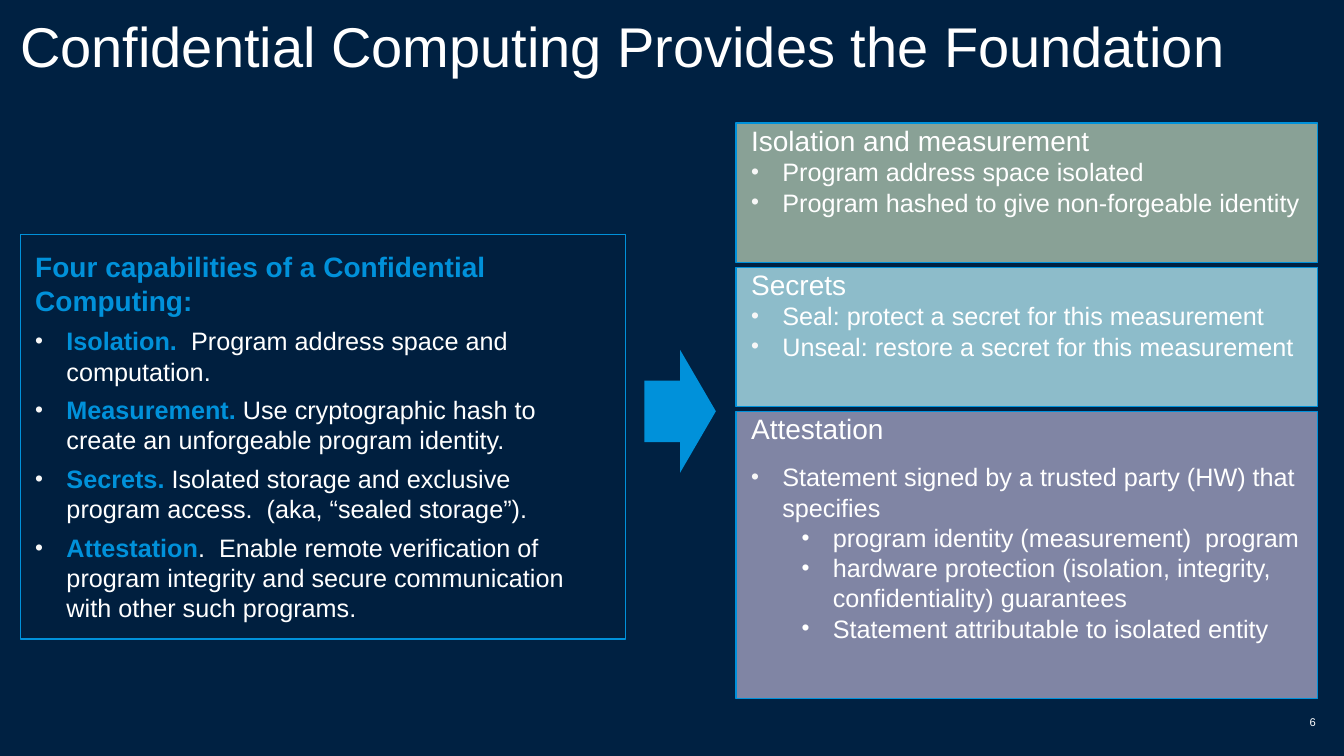
from lxml import etree
from pptx import Presentation
from pptx.dml.color import RGBColor
from pptx.enum.shapes import MSO_SHAPE
from pptx.enum.text import MSO_ANCHOR, MSO_AUTO_SIZE, PP_ALIGN
from pptx.oxml.ns import qn
from pptx.util import Inches, Pt

NAVY = RGBColor(0x00, 0x21, 0x42)
DEEP_NAVY = RGBColor(0x00, 0x1F, 0x3F)
BLUE = RGBColor(0x00, 0x91, 0xDA)
WHITE = RGBColor(0xFF, 0xFF, 0xFF)
GREEN = RGBColor(0xE5, 0xF7, 0xCE)
AQUA = RGBColor(0xC4, 0xF9, 0xFF)
LILAC = RGBColor(0xE6, 0xD4, 0xF2)


def add_text(tf, *parts, size=18, color=WHITE, bold=False, bullet=None,
             level=0, before=0, spacing=None, align=PP_ALIGN.LEFT):
    """Add a paragraph; with two parts, the first is a bold blue lead-in."""
    p = tf.add_paragraph() if tf.paragraphs[0].runs else tf.paragraphs[0]
    p.alignment, p.level, p.line_spacing = align, level, spacing
    p.space_before = Pt(before)
    if bullet:
        pPr = p._p.get_or_add_pPr()
        pPr.set("marL", str(Inches(0.31 + 0.5 * level)))
        pPr.set("indent", str(Inches(-0.31)))
        clr = etree.SubElement(pPr, qn("a:buClr"))
        etree.SubElement(clr, qn("a:srgbClr"), val=bullet)
        etree.SubElement(pPr, qn("a:buSzPct"), val="90000")
        etree.SubElement(pPr, qn("a:buFont"), typeface="Arial")
        etree.SubElement(pPr, qn("a:buChar"), char="•")
    for i, part in enumerate(parts):
        lead = len(parts) == 2 and i == 0
        r = p.add_run()
        r.text = part
        r.font.name, r.font.size = "Arial", Pt(size)
        r.font.bold = bold or lead
        r.font.color.rgb = BLUE if lead else color


def add_box(x, y, w, h, fill, alpha=100, margins=(0.15, 0, 0, 0),
            kind=MSO_SHAPE.RECTANGLE, outlined=True):
    """Add a filled shape and return its text frame."""
    sp = s.shapes.add_shape(kind, Inches(x), Inches(y), Inches(w), Inches(h))
    sp.shadow.inherit = False
    sp.fill.solid()
    sp.fill.fore_color.rgb = fill
    if alpha < 100:
        clr = sp.fill._xPr.find(".//" + qn("a:srgbClr"))
        etree.SubElement(clr, qn("a:alpha"), val=str(alpha * 1000))
    if outlined:
        sp.line.color.rgb = BLUE
        sp.line.width = Pt(0.75)
    else:
        sp.line.fill.background()
    tf = sp.text_frame
    tf.word_wrap = True
    tf.vertical_anchor = MSO_ANCHOR.TOP
    (tf.margin_left, tf.margin_top,
     tf.margin_right, tf.margin_bottom) = map(Inches, margins)
    return tf


prs = Presentation()
prs.slide_width, prs.slide_height = Inches(13.33), Inches(7.5)
s = prs.slides.add_slide(prs.slide_layouts[5])
s.background.fill.solid()
s.background.fill.fore_color.rgb = NAVY

# Title and page number
title = s.shapes.title
title.left, title.top = Inches(0.2), Inches(0.01)
title.width, title.height = Inches(13.13), Inches(0.78)
number = s.shapes.add_textbox(Inches(12.57), Inches(7.07), Inches(0.48), Inches(0.2))
for sp, anchor in ((title, MSO_ANCHOR.BOTTOM), (number, MSO_ANCHOR.MIDDLE)):
    tf = sp.text_frame
    tf.margin_left = tf.margin_top = tf.margin_right = tf.margin_bottom = 0
    tf.vertical_anchor = anchor
    tf.auto_size = MSO_AUTO_SIZE.NONE
    tf.word_wrap = True
add_text(title.text_frame, "Confidential Computing Provides the Foundation",
         size=40, spacing=0.9)
add_text(number.text_frame, "6", size=8, spacing=0.9, align=PP_ALIGN.RIGHT)

# Three panels on the right: heading, height, fill, opacity, gap, (level, bullet)
panels = [
    ("Isolation and measurement", 1.38, GREEN, 60, 0, [
        (0, "Program address space isolated"),
        (0, "Program hashed to give non-forgeable identity")]),
    ("Secrets", 1.38, AQUA, 72, 0, [
        (0, "Seal: protect a secret for this measurement"),
        (0, "Unseal: restore a secret for this measurement")]),
    ("Attestation", 2.85, LILAC, 56, 12, [
        (0, "Statement signed by a trusted party (HW) that specifies"),
        (1, "program identity (measurement)  program"),
        (1, "hardware protection (isolation, integrity, confidentiality) guarantees"),
        (1, "Statement attributable to isolated entity")]),
]
top = 1.22
for heading, height, fill, alpha, gap, bullets in panels:
    tf = add_box(7.3, top, 5.77, height, fill, alpha)
    add_text(tf, heading, size=20)
    for level, line in bullets:
        add_text(tf, line, level=level, before=0 if level else gap,
                 bullet="FFFFFF" if level else "F7F7F7")
    top += height + 0.05

# Four capabilities on the left
tf = add_box(0.2, 2.33, 6, 4.01, DEEP_NAVY, margins=(0.15,) * 4)
add_text(tf, "Four capabilities of a Confidential Computing:",
         size=20, color=BLUE, bold=True)
for lead, rest in [
    ("Isolation.  ", "Program address space and computation."),
    ("Measurement.", " Use cryptographic hash to create an unforgeable program identity."),
    ("Secrets. ", "Isolated storage and exclusive program access.  (aka, “sealed storage”)."),
    ("Attestation", ".  Enable remote verification of program integrity and secure "
                    "communication with other such programs."),
]:
    add_text(tf, lead, rest, bullet="F7F7F7", before=6)

# Arrow from capabilities to panels
add_box(6.39, 3.47, 0.71, 1.22, BLUE, kind=MSO_SHAPE.RIGHT_ARROW, outlined=False)

prs.save("out.pptx")
